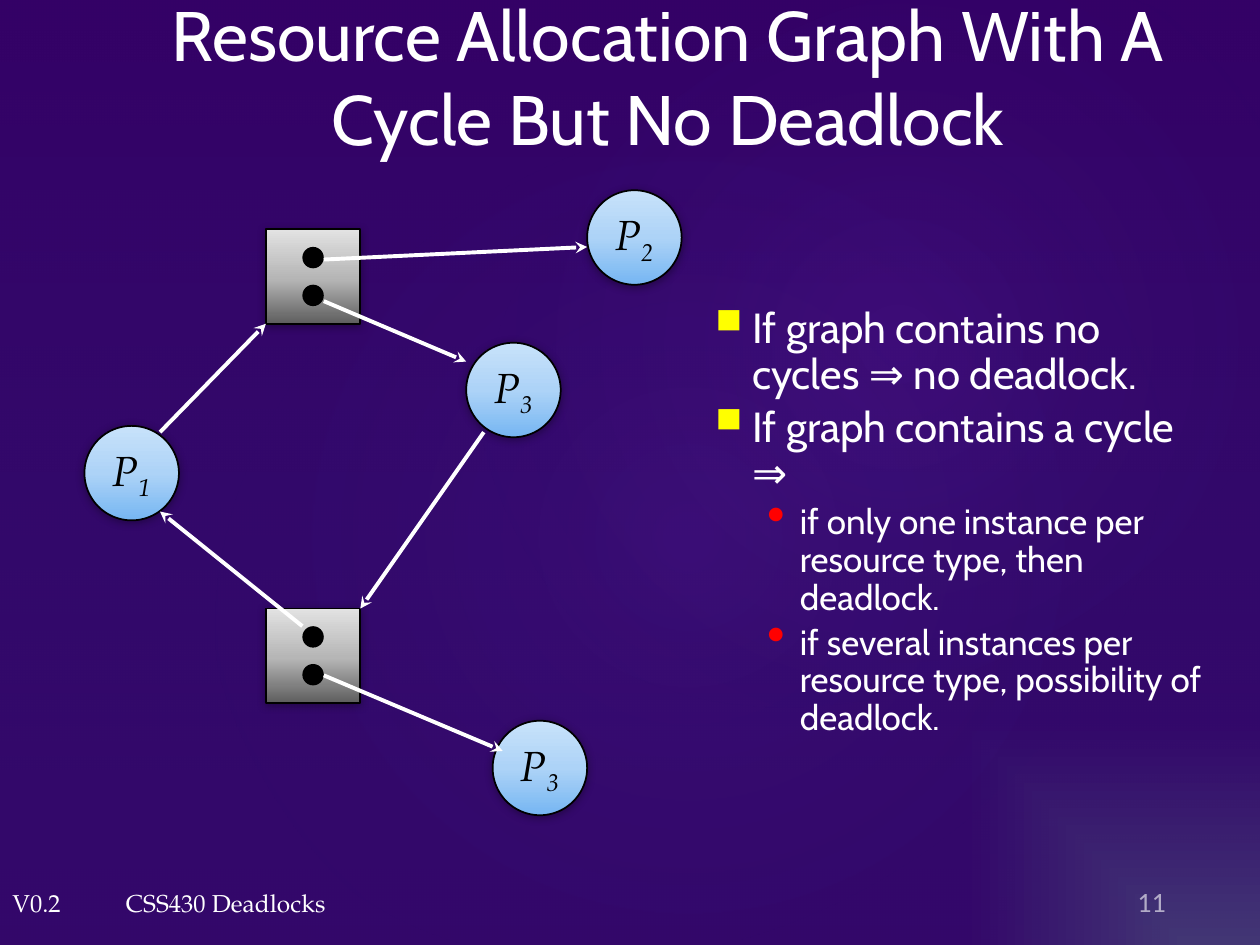
from dataclasses import dataclass
from typing import Any

import lxml.etree
import pptx
import pptx.dml.color
import pptx.enum.shapes
import pptx.enum.text
import pptx.oxml
import pptx.oxml.ns
import pptx.util

Inches = pptx.util.Inches
Pt = pptx.util.Pt
RGBColor = pptx.dml.color.RGBColor
Kind = pptx.enum.shapes.MSO_SHAPE
Align = pptx.enum.text.PP_ALIGN
Anchor = pptx.enum.text.MSO_ANCHOR
qn = pptx.oxml.ns.qn

WHITE = RGBColor(0xFF, 0xFF, 0xFF)
BLACK = RGBColor(0x00, 0x00, 0x00)
YELLOW = RGBColor(0xFF, 0xFF, 0x00)
RED = RGBColor(0xFF, 0x00, 0x00)
INDIGO = RGBColor(0x33, 0x00, 0x66)
NAVY = RGBColor(0x26, 0x3B, 0x86)
VIOLET = RGBColor(0xA3, 0x47, 0xFF)
SLATE = RGBColor(0x46, 0x36, 0x73)
PURPLE = RGBColor(0x35, 0x02, 0x67)

SERIF = "TeX Gyre Pagella"
SANS = "Cabin"
NODE = 0.75
DOT = 0.17
Stops = list[tuple[int, RGBColor, int]]
BLUES: Stops = [(0, RGBColor(0x76, 0xB6, 0xF2), 100),
                (50, RGBColor(0xAD, 0xD3, 0xF7), 100),
                (100, RGBColor(0xC8, 0xE2, 0xFA), 100)]
GREYS: Stops = [(0, RGBColor(0x5E, 0x5E, 0x5E), 100),
                (48, RGBColor(0xB6, 0xB6, 0xB6), 100),
                (100, RGBColor(0xE2, 0xE2, 0xE2), 100)]
UP = '<a:lin ang="16200000" scaled="0"/>'
DOWN = '<a:lin ang="5400000" scaled="0"/>'
ROUND = '<a:path path="circle"><a:fillToRect l="50000" t="50000" r="50000" b="50000"/></a:path>'
CORNER = '<a:path path="rect"><a:fillToRect l="100000" t="100000"/></a:path>'


@dataclass
class Glow:
    left: float
    top: float
    width: float
    height: float
    alpha: int


@dataclass
class Process:
    left: float
    top: float
    index: str


@dataclass
class Store:
    left: float
    top: float


@dataclass
class Arrow:
    start: tuple[float, float]
    end: tuple[float, float]


@dataclass
class Point:
    text: str
    level: int


@dataclass
class Style:
    size: int
    indent: float
    hang: float
    before: float
    mark: str
    color: RGBColor


GLOWS = [Glow(1.5, 1.14, 7.92, 6.24, 7), Glow(3.58, 0.13, 7.09, 5.2, 8)]
NODES = [Process(0.67, 3.38, "1"), Process(4.66, 1.51, "2"),
         Process(3.7, 2.72, "3"), Process(3.91, 5.72, "3")]
STORES = [Store(2.11, 4.83), Store(2.11, 1.82)]
ARROWS = [Arrow((2.57, 2.06), (4.66, 1.96)), Arrow((2.57, 5.36), (3.99, 5.96)),
          Arrow((3.84, 3.43), (2.86, 4.83)), Arrow((2.57, 2.39), (3.7, 2.87)),
          Arrow((1.27, 3.43), (2.11, 2.57)), Arrow((2.4, 4.97), (1.27, 4.06))]
POINTS = [Point("If graph contains no cycles ⇒ no deadlock.", 0),
          Point("If graph contains a cycle ⇒", 0),
          Point("if only one instance per resource type, then deadlock.", 1),
          Point("if several instances per resource type, possibility of deadlock.", 1)]
STYLES = [Style(24, 0.37, -0.37, 4.8, "▪", YELLOW),
          Style(20, 0.75, -0.26, 4, "•", RED)]


def make(xml: str) -> Any:
    return pptx.oxml.parse_xml(xml.replace(
        ">", ' xmlns:a="http://schemas.openxmlformats.org/drawingml/2006/main">', 1))


def blend(stops: Stops, path: str) -> Any:
    parts = "".join(
        f'<a:gs pos="{pos * 1000}"><a:srgbClr val="{color}">'
        f'<a:alpha val="{alpha * 1000}"/></a:srgbClr></a:gs>'
        for pos, color, alpha in stops)
    return make(f'<a:gradFill rotWithShape="1"><a:gsLst>{parts}</a:gsLst>{path}</a:gradFill>')


def draw(shapes: Any, kind: Any, left: float, top: float, width: float, height: float) -> Any:
    shape = shapes.add_shape(kind, Inches(left), Inches(top), Inches(width), Inches(height))
    shape.shadow.inherit = False
    shape.line.fill.background()
    return shape


def tint(shape: Any, stops: Stops, path: str) -> None:
    shape.element.spPr.find(qn("a:prstGeom")).addnext(blend(stops, path))


def edge(shape: Any) -> None:
    shape.line.color.rgb = BLACK
    shape.line.width = Pt(1)
    shape.element.spPr.find(qn("a:effectLst")).append(make(
        '<a:outerShdw blurRad="63500" dist="12700" dir="5400000" rotWithShape="0">'
        '<a:srgbClr val="000000"><a:alpha val="32000"/></a:srgbClr></a:outerShdw>'))


def write(para: Any, text: str, size: float, face: str, color: RGBColor) -> Any:
    run = para.add_run()
    run.text = text
    run.font.size = Pt(size)
    run.font.name = face
    run.font.color.rgb = color
    return run


def frame(slide: Any, left: float, top: float, width: float, height: float) -> Any:
    box = slide.shapes.add_textbox(Inches(left), Inches(top), Inches(width), Inches(height))
    box.text_frame.word_wrap = True
    return box.text_frame


def paint(slide: Any) -> None:
    fill = slide.background.fill
    fill.solid()
    back = slide.element.cSld.find(qn("p:bg")).find(qn("p:bgPr"))
    back.replace(back[0], blend([(0, SLATE, 100), (47, PURPLE, 100)], CORNER))
    veil = draw(slide.shapes, Kind.RECTANGLE, 0, 0, 10, 7.5)
    tint(veil, [(0, INDIGO, 36), (100, NAVY, 10)], DOWN)
    for glow in GLOWS:
        oval = draw(slide.shapes, Kind.OVAL, glow.left, glow.top, glow.width, glow.height)
        oval.rotation = 328.7
        tint(oval, [(0, VIOLET, glow.alpha), (58, NAVY, 0)], ROUND)


def add_node(slide: Any, node: Process) -> None:
    disc = draw(slide.shapes, Kind.OVAL, node.left, node.top, NODE, NODE)
    tint(disc, BLUES, UP)
    edge(disc)
    disc.text_frame.word_wrap = False
    disc.text_frame.vertical_anchor = Anchor.MIDDLE
    para = disc.text_frame.paragraphs[0]
    para.alignment = Align.CENTER
    for text, base in (("P", 0), (node.index, -25000)):
        font = write(para, text, 24, SERIF, BLACK).font
        font.italic = True
        if base:
            font._element.set("baseline", str(base))


def add_store(slide: Any, store: Store) -> None:
    group = slide.shapes.add_group_shape()
    box = draw(group.shapes, Kind.RECTANGLE, store.left, store.top, NODE, NODE)
    tint(box, GREYS, UP)
    edge(box)
    for drop in (0.14, 0.44):
        dot = draw(group.shapes, Kind.OVAL, store.left + (NODE - DOT) / 2,
                   store.top + drop, DOT, DOT)
        dot.fill.solid()
        dot.fill.fore_color.rgb = BLACK


def add_arrow(slide: Any, arrow: Arrow) -> None:
    ends = [Inches(n) for n in arrow.start + arrow.end]
    line = slide.shapes.add_connector(pptx.enum.shapes.MSO_CONNECTOR.STRAIGHT, *ends)
    line.line.color.rgb = WHITE
    line.line.width = Pt(2.25)
    line.line._get_or_add_ln().append(make('<a:tailEnd type="stealth"></a:tailEnd>'))
    lxml.etree.SubElement(line.element.spPr, qn("a:effectLst"))


def add_points(slide: Any) -> None:
    body = frame(slide, 5.5, 2.26, 4.25, 3.78)
    body.vertical_anchor = Anchor.MIDDLE
    for i, point in enumerate(POINTS):
        style = STYLES[point.level]
        para = body.add_paragraph() if i else body.paragraphs[0]
        para.level = point.level
        para.line_spacing = 0.9
        para.space_before = Pt(style.before if i else 0)
        props = para._p.get_or_add_pPr()
        props.set("marL", str(Inches(style.indent)))
        props.set("indent", str(Inches(style.hang)))
        props.append(make(f'<a:buClr><a:srgbClr val="{style.color}"/></a:buClr>'))
        props.append(make('<a:buSzPct val="150000"></a:buSzPct>'))
        props.append(make(f'<a:buChar char="{style.mark}"></a:buChar>'))
        write(para, point.text, style.size, SANS, WHITE)


def add_foot(slide: Any) -> None:
    mark = frame(slide, 0, 7, 0.59, 0.34)
    mark.word_wrap = False
    write(mark.paragraphs[0], "V0.2", 14, SERIF, WHITE)
    name = frame(slide, 0.9, 7, 5.68, 0.34)
    write(name.paragraphs[0], "CSS430 Deadlocks", 14, SERIF, WHITE)
    page = frame(slide, 8.23, 6.93, 1.12, 0.4)
    page.vertical_anchor = Anchor.MIDDLE
    page.margin_bottom = Inches(0.01)
    page.paragraphs[0].alignment = Align.RIGHT
    run = write(page.paragraphs[0], "11", 16, "Calibri", WHITE)
    shade = run._r.rPr.find(qn("a:solidFill"))[0]
    shade.append(make('<a:alpha val="60000"></a:alpha>'))


def add_title(slide: Any) -> None:
    title = slide.shapes.title
    title.left, title.top = Inches(0.85), Inches(0)
    title.width, title.height = Inches(8.9), Inches(1.2)
    title.text_frame.auto_size = pptx.enum.text.MSO_AUTO_SIZE.NONE
    title.text_frame.vertical_anchor = Anchor.MIDDLE
    para = title.text_frame.paragraphs[0]
    para.alignment = Align.CENTER
    write(para, "Resource Allocation Graph With A Cycle But No Deadlock", 40, SANS, WHITE)
    slide.shapes._spTree.append(title.element)


def main() -> None:
    deck = pptx.Presentation()
    deck.slide_width, deck.slide_height = Inches(10), Inches(7.5)
    slide = deck.slides.add_slide(deck.slide_layouts[5])
    paint(slide)
    add_title(slide)
    add_foot(slide)
    for node in NODES:
        add_node(slide, node)
    for store in STORES:
        add_store(slide, store)
    for arrow in ARROWS:
        add_arrow(slide, arrow)
    add_points(slide)
    deck.save("out.pptx")


if __name__ == "__main__":
    main()
